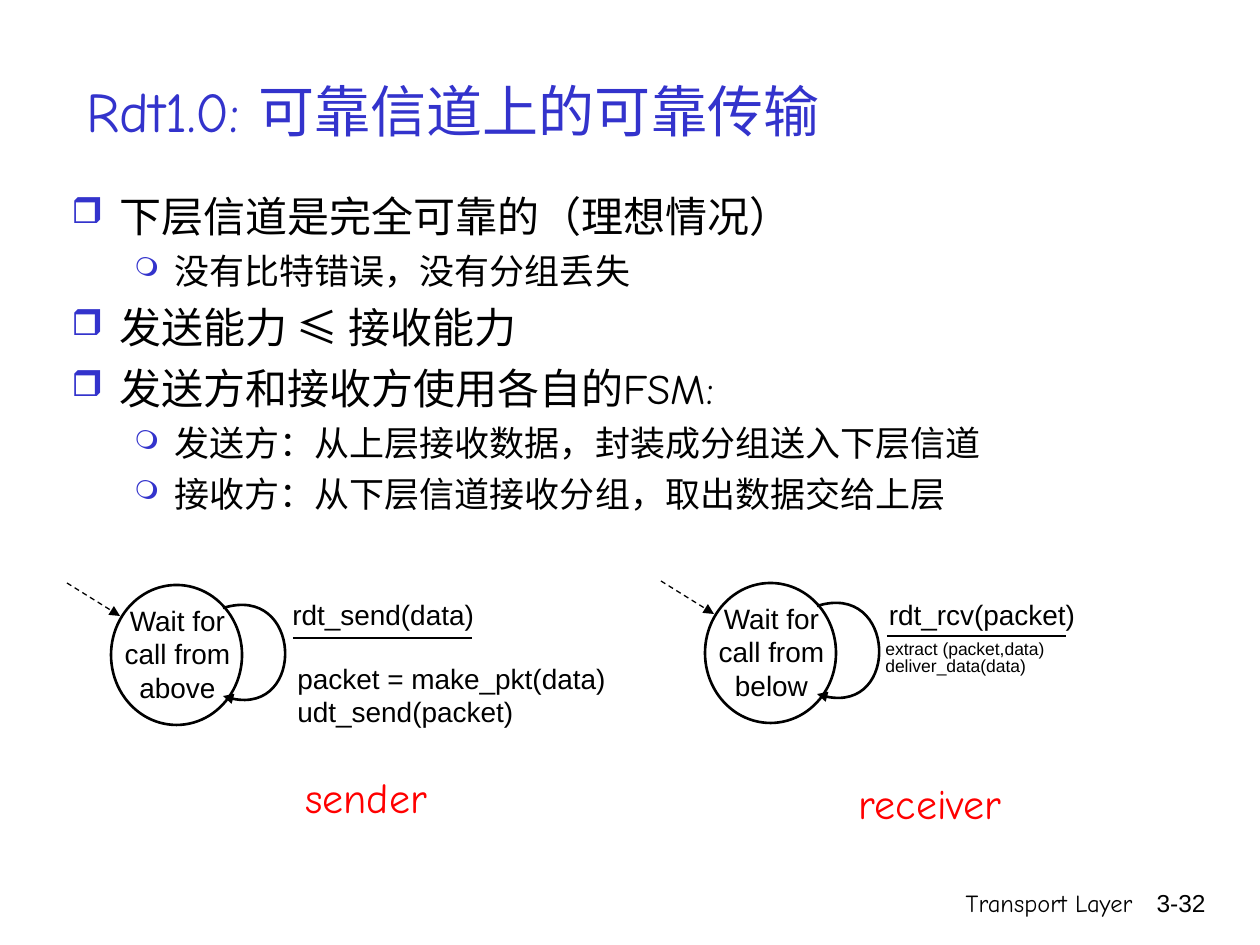
from lxml import etree
from pptx import Presentation
from pptx.dml.color import RGBColor
from pptx.enum.dml import MSO_LINE
from pptx.enum.shapes import MSO_CONNECTOR, MSO_SHAPE
from pptx.enum.text import MSO_ANCHOR, MSO_AUTO_SIZE, PP_ALIGN
from pptx.oxml.ns import qn
from pptx.util import Pt

BLACK = RGBColor(0, 0, 0)
WHITE = RGBColor(255, 255, 255)
BLUE = RGBColor(0x33, 0x33, 0xCC)
RED = RGBColor(255, 0, 0)
LEFT, MID, RIGHT = PP_ALIGN.LEFT, PP_ALIGN.CENTER, PP_ALIGN.RIGHT
DASH = MSO_LINE.DASH
OVAL = MSO_SHAPE.OVAL
STRAIGHT = MSO_CONNECTOR.STRAIGHT
MIDDLE = MSO_ANCHOR.MIDDLE
NO_FIT = MSO_AUTO_SIZE.NONE
SCALE = 914400 / 126
SANS, COMIC = "Arial", "Comic Neue"
LEVELS = [
    dict(size=24, mark="❒", scale=85, left=48, hang=48, gap=6),
    dict(size=20, mark="❍", scale=75, left=103, hang=40, gap=5),
]


def px(n):
    return round(n * SCALE)


def add(parent, tag, **attrs):
    return etree.SubElement(parent, qn(tag), attrs)


class Board:
    def __init__(self, deck):
        self.slide = deck.slides.add_slide(deck.slide_layouts[5])
        self.shapes = self.slide.shapes

    def run(self, para, text, size, face, color):
        run = para.add_run()
        run.text = text
        font = run.font
        font.size, font.name = Pt(size), face
        font.color.rgb = color

    def title(self, box, text):
        head = self.shapes.title
        head.left, head.top, head.width, head.height = map(px, box)
        frame = head.text_frame
        frame.auto_size = NO_FIT
        frame.vertical_anchor = MIDDLE
        para = frame.paragraphs[0]
        para.alignment = LEFT
        self.run(para, text, 32, COMIC, BLUE)

    def frame(self, box, wrap=True):
        frame = self.shapes.add_textbox(*map(px, box)).text_frame
        frame.word_wrap = wrap
        return frame

    def paras(self, frame, items):
        for i, item in enumerate(items):
            yield (frame.add_paragraph() if i else frame.paragraphs[0]), item

    def text(self, box, lines, size=16, face=SANS, color=BLACK,
             align=LEFT, wrap=True, space=None):
        frame = self.frame(box, wrap)
        for para, line in self.paras(frame, lines):
            para.alignment = align
            para.line_spacing = space
            self.run(para, line, size, face, color)

    def bullets(self, box, items):
        frame = self.frame(box)
        for para, (depth, line) in self.paras(frame, items):
            look = LEVELS[depth]
            para.level = depth
            if len(frame.paragraphs) > 1:
                para.space_before = Pt(look["gap"])
            props = para._p.get_or_add_pPr()
            props.set("marL", str(px(look["left"])))
            props.set("indent", str(-px(look["hang"])))
            add(add(props, "a:buClr"), "a:srgbClr", val=str(BLUE))
            add(props, "a:buSzPct", val=str(look["scale"] * 1000))
            add(props, "a:buChar", char=look["mark"])
            self.run(para, line, look["size"], COMIC, BLACK)

    def stroke(self, shape, width, head=False):
        shape.line.color.rgb = BLACK
        shape.line.width = Pt(width)
        if head:
            add(shape.line._get_or_add_ln(), "a:tailEnd", type="triangle")

    def oval(self, box):
        shape = self.shapes.add_shape(OVAL, *map(px, box))
        shape.shadow.inherit = False
        shape.fill.solid()
        shape.fill.fore_color.rgb = WHITE
        self.stroke(shape, 1.5)

    def line(self, ends, width=1.5, dash=None, head=False):
        link = self.shapes.add_connector(STRAIGHT, *map(px, ends))
        if dash:
            link.line.dash_style = dash
        self.stroke(link, width, head)
        add(link._element.spPr, "a:effectLst")

    def curve(self, start, *points):
        pen = self.shapes.build_freeform(*start, scale=SCALE)
        pen.add_line_segments(points, close=False)
        shape = pen.convert_to_shape()
        shape.shadow.inherit = False
        shape.fill.background()
        self.stroke(shape, 1.5, head=True)
        route = shape._element.spPr.find(".//" + qn("a:path"))
        bend = add(route, "a:cubicBezTo")
        for step in route.findall(qn("a:lnTo")):
            bend.append(step[0])
            route.remove(step)

    def state(self, x, y, label):
        self.oval((x, y, 131, 140))
        self.text((x - 9, y + 12, 151, 126), [label], align=MID)
        self.curve((x + 112, y + 23), (x + 191, y - 2),
                   (x + 196, y + 140), (x + 112, y + 111))
        self.line((x + 182, y + 53, x + 361, y + 53))
        self.line((x - 44, y - 2, x + 9, y + 31), 0.75, DASH, True)


def main():
    deck = Presentation()
    deck.slide_width, deck.slide_height = px(1260), px(945)
    board = Board(deck)
    board.text((746, 882, 399, 63), ["Transport Layer"], 14, COMIC, align=RIGHT)
    board.text((1125, 882, 93, 63), ["3-32"], 14, align=RIGHT)
    board.title((74, 32, 1102, 157), "Rdt1.0: 可靠信道上的可靠传输")
    board.bullets((59, 184, 1089, 360), [
        (0, "下层信道是完全可靠的（理想情况）"),
        (1, "没有比特错误，没有分组丢失"),
        (0, "发送能力 ≤ 接收能力"),
        (0, "发送方和接收方使用各自的FSM:"),
        (1, "发送方：从上层接收数据，封装成分组送入下层信道"),
        (1, "接收方：从下层信道接收分组，取出数据交给上层"),
    ])
    board.state(111, 585, "Wait for call from above")
    board.text((280, 591, 311, 59), ["rdt_send(data)"])
    board.text((285, 655, 369, 82),
               ["packet = make_pkt(data)", "udt_send(packet)"])
    board.state(705, 583, "Wait for call from below")
    board.text((876, 591, 212, 47), ["rdt_rcv(packet)"], align=MID, wrap=False)
    board.text((873, 636, 343, 59),
               ["extract (packet,data)", "deliver_data(data)"], 10, space=0.8)
    for box, name in (((276, 765, 180, 63), "sender"),
                      ((840, 771, 180, 63), "receiver")):
        board.text(box, [name], 24, COMIC, RED, MID, wrap=False)
    deck.save("out.pptx")


if __name__ == "__main__":
    main()
